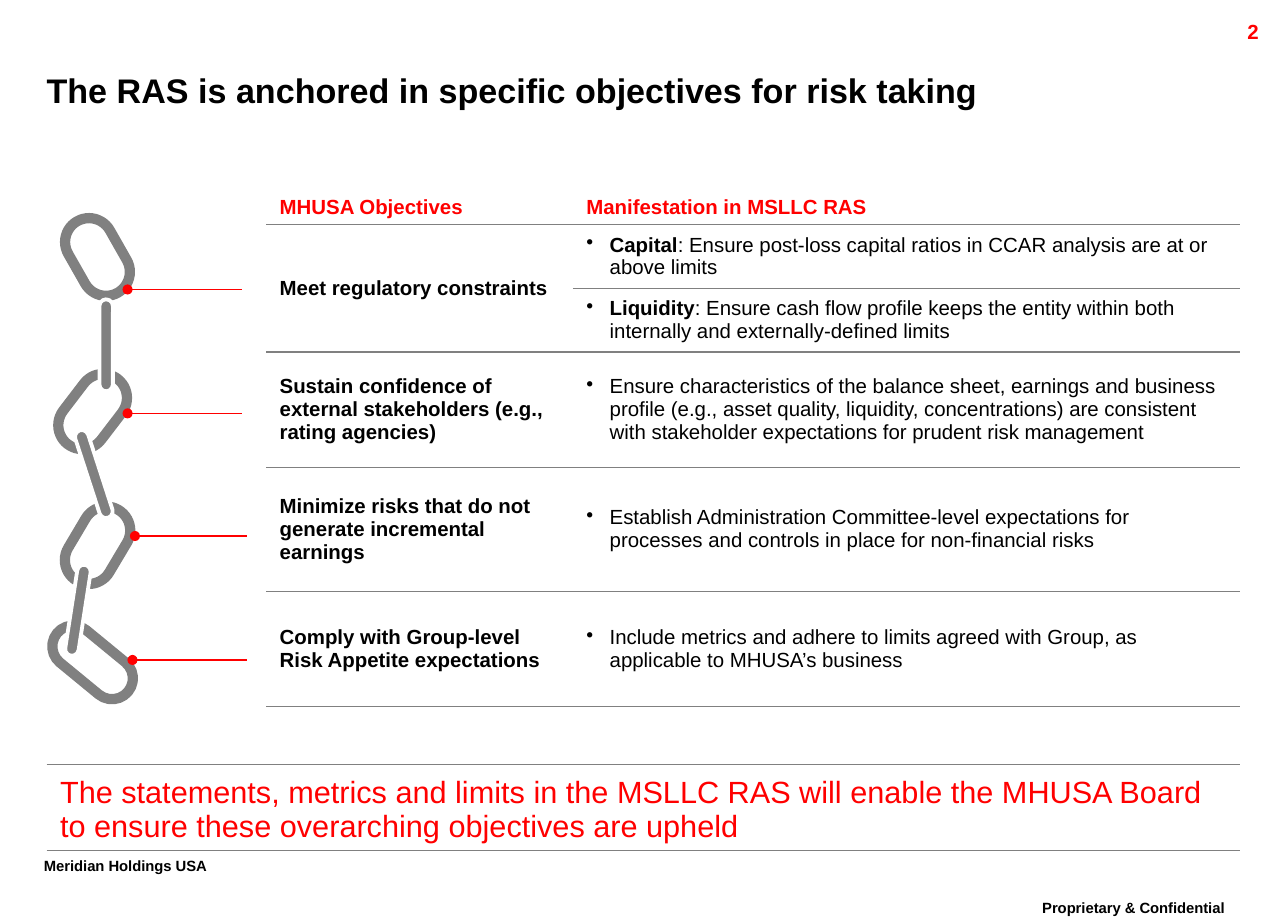
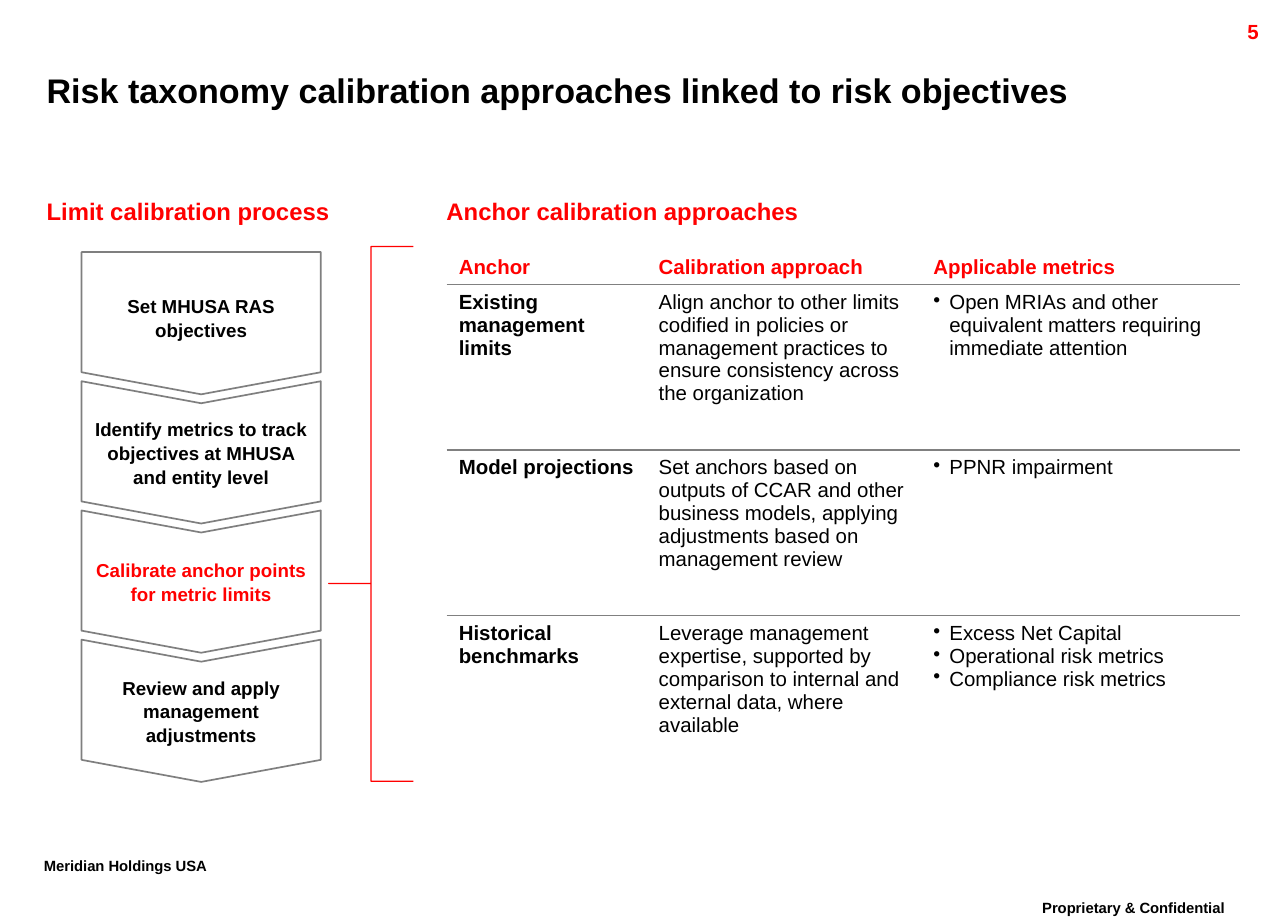
from lxml import etree
from pptx import Presentation
from pptx.dml.color import RGBColor
from pptx.enum.shapes import MSO_CONNECTOR, MSO_SHAPE
from pptx.enum.text import MSO_ANCHOR, PP_ALIGN
from pptx.oxml.ns import qn
from pptx.util import Inches, Pt

RED = RGBColor(0xFF, 0x00, 0x00)
BLACK = RGBColor(0x00, 0x00, 0x00)
WHITE = RGBColor(0xFF, 0xFF, 0xFF)
GRAY = RGBColor(0x80, 0x80, 0x80)
OUTLINE_GRAY = RGBColor(0x7F, 0x7F, 0x7F)

FONT = "Arial"
NO_TABLE_STYLE = "{2D5ABB26-0587-4C30-8999-92F81FD0307C}"

LEFT, CENTER, RIGHT = PP_ALIGN.LEFT, PP_ALIGN.CENTER, PP_ALIGN.RIGHT
TOP, MIDDLE, BOTTOM = MSO_ANCHOR.TOP, MSO_ANCHOR.MIDDLE, MSO_ANCHOR.BOTTOM
ROUNDED = MSO_SHAPE.ROUNDED_RECTANGLE
PENTAGON, CHEVRON = MSO_SHAPE.PENTAGON, MSO_SHAPE.CHEVRON
LEFT_BRACE = MSO_SHAPE.LEFT_BRACE
STRAIGHT = MSO_CONNECTOR.STRAIGHT


def add_run(paragraph, text, size, color=BLACK, bold=False):
    run = paragraph.add_run()
    run.text = text
    run.font.name = FONT
    run.font.size = Pt(size)
    run.font.bold = bold
    run.font.color.rgb = color
    return run


def add_bullet(paragraph, indent):
    properties = paragraph._p.get_or_add_pPr()
    properties.set("marL", str(Inches(indent)))
    properties.set("indent", str(-Inches(indent)))
    etree.SubElement(properties, qn("a:buChar")).set("char", "•")


def add_border(cell, side, width):
    """Draw one gray cell border; side is "T" or "B"."""
    border = etree.SubElement(cell._tc.get_or_add_tcPr(), qn("a:ln" + side))
    border.set("w", str(Pt(width)))
    fill = etree.SubElement(border, qn("a:solidFill"))
    etree.SubElement(fill, qn("a:srgbClr")).set("val", str(GRAY))


class Deck:
    def __init__(self):
        self.presentation = Presentation()
        self.presentation.slide_width = Inches(10.5)
        self.presentation.slide_height = Inches(7.5)
        self.slide = None

    def new_slide(self, title, number):
        layout = self.presentation.slide_layouts[6]
        self.slide = self.presentation.slides.add_slide(layout)
        self.footer("Proprietary & Confidential", 8.15, 7.25, 2.18, CENTER)
        self.footer("Meridian Holdings USA", 0.26, 6.91, 1.91, LEFT)
        self.text(number, 9.36, 0.11, 1, 0.24, 12, RED, align=RIGHT,
                  margins=(0.1, 0.05))
        self.text(title, 0.38, 0.49, 9.48, 0.48, 20, BLACK, anchor=MIDDLE)

    def text(self, text, left, top, width, height, size, color,
             align=LEFT, anchor=TOP, margins=(0, 0)):
        """Add one line of bold text and return its run."""
        box = self.slide.shapes.add_textbox(
            Inches(left), Inches(top), Inches(width), Inches(height))
        frame = box.text_frame
        frame.word_wrap = True
        frame.vertical_anchor = anchor
        frame.margin_left = frame.margin_right = Inches(margins[0])
        frame.margin_top = frame.margin_bottom = Inches(margins[1])
        paragraph = frame.paragraphs[0]
        paragraph.alignment = align
        return add_run(paragraph, text, size, color, bold=True)

    def footer(self, text, left, top, width, align):
        run = self.text(text, left, top, width, 0.35, 15, BLACK, align,
                        margins=(0.1, 0.05))
        run._r.get_or_add_rPr().set("baseline", "30000")

    def shape(self, kind, left, top, width, height, line, line_width,
              fill=None, rotation=0, adjustments=()):
        shape = self.slide.shapes.add_shape(
            kind, Inches(left), Inches(top), Inches(width), Inches(height))
        shape.shadow.inherit = False
        shape.rotation = rotation
        for index, value in enumerate(adjustments):
            shape.adjustments[index] = value
        if fill is None:
            shape.fill.background()
        else:
            shape.fill.solid()
            shape.fill.fore_color.rgb = fill
        shape.line.color.rgb = line
        shape.line.width = Pt(line_width)
        return shape

    def step(self, kind, text, top, color):
        """Add a process step that points down, with upright text."""
        shape = self.shape(kind, 1.06, top, 1.16, 1.95, OUTLINE_GRAY, 1,
                           WHITE, 90, (0.155,))
        frame = shape.text_frame
        frame.word_wrap = True
        frame.vertical_anchor = MIDDLE
        frame.margin_left = frame.margin_right = Inches(0.08)
        frame.margin_top = frame.margin_bottom = Inches(0.08)
        frame._txBody.bodyPr.set("vert", "vert270")
        paragraph = frame.paragraphs[0]
        paragraph.alignment = CENTER
        paragraph.line_spacing = 1.06
        add_run(paragraph, text, 11, color, bold=True)

    def pointer(self, start, end, y):
        """Add a red horizontal line with a dot at its end."""
        connector = self.slide.shapes.add_connector(
            STRAIGHT, Inches(start), Inches(y), Inches(end), Inches(y))
        connector.line.color.rgb = RED
        connector.line.width = Pt(0.75)
        line = connector.line._get_or_add_ln()
        etree.SubElement(line, qn("a:tailEnd")).set("type", "oval")
        etree.SubElement(connector._element.spPr, qn("a:effectLst"))

    def empty_table(self, left, top, widths, heights, margin, border_width,
                    ruled_rows):
        """Add a plain table with a line below each of the ruled rows."""
        frame = self.slide.shapes.add_table(
            len(heights), len(widths), Inches(left), Inches(top),
            Inches(sum(widths)), Inches(sum(heights)))
        table = frame.table
        table.first_row = table.horz_banding = False
        style = table._tbl.tblPr.find(qn("a:tableStyleId"))
        style.text = NO_TABLE_STYLE
        for column, width in zip(table.columns, widths):
            column.width = Inches(width)
        for index, (row, height) in enumerate(zip(table.rows, heights)):
            row.height = Inches(height)
            for cell in row.cells:
                cell.margin_left = cell.margin_right = Inches(margin)
                cell.margin_top = cell.margin_bottom = Inches(0.05)
                if index - 1 in ruled_rows:
                    add_border(cell, "T", border_width)
                if index in ruled_rows:
                    add_border(cell, "B", border_width)
                cell.fill.background()
        return table

    def fill_table(self, table, rows, anchor, bullet_column, indent):
        """Write a red header, a bold first column and plain other cells.

        A cell is a list of paragraphs; a pair is a bold lead and its rest.
        """
        for row_index, row in enumerate(rows):
            for column_index, content in enumerate(row):
                if not content:
                    continue
                header = row_index == 0
                cell = table.cell(row_index, column_index)
                cell.vertical_anchor = BOTTOM if header else anchor
                frame = cell.text_frame
                for index, item in enumerate(content):
                    paragraph = (frame.add_paragraph() if index
                                 else frame.paragraphs[0])
                    if column_index == bullet_column and not header:
                        add_bullet(paragraph, indent)
                    if isinstance(item, tuple):
                        lead, item = item
                        add_run(paragraph, lead, 12, bold=True)
                    add_run(paragraph, item, 12, RED if header else BLACK,
                            header or column_index == 0)


def objectives_slide(deck):
    deck.new_slide(
        "The RAS is anchored in specific objectives for risk taking", "2")

    links = [(0.46, 1.9, 0.67, 0.39, 60.4), (0.42, 3.16, 0.67, 0.39, 127.4),
             (0.46, 4.25, 0.67, 0.39, 120.7), (0.38, 5.23, 0.75, 0.34, 39.4)]
    for left, top, width, height, rotation in links:
        deck.shape(ROUNDED, left, top, width, height, GRAY, 6,
                   rotation=rotation, adjustments=(0.5,))
    bars = [(0.26, 4.92, 98.8), (0.39, 3.81, 72), (0.49, 2.76, 90)]
    for left, top, rotation in bars:
        deck.shape(ROUNDED, left, top, 0.75, 0.11, WHITE, 2.25, GRAY,
                   rotation, (0.5,))
    pointers = [(1.97, 1.04, 2.36), (1.97, 1.04, 3.37),
                (2.01, 1.1, 4.37), (2.01, 1.08, 5.38)]
    for start, end, y in pointers:
        deck.pointer(start, end, y)

    rows = [
        (["MHUSA Objectives"], ["Manifestation in MSLLC RAS"]),
        (["Meet regulatory constraints"],
         [("Capital", ": Ensure post-loss capital ratios in CCAR analysis "
           "are at or above limits")]),
        ([],
         [("Liquidity", ": Ensure cash flow profile keeps the entity within "
           "both internally and externally-defined limits")]),
        (["Sustain confidence of external stakeholders (e.g., rating "
          "agencies)"],
         ["Ensure characteristics of the balance sheet, earnings and "
          "business profile (e.g., asset quality, liquidity, "
          "concentrations) are consistent with stakeholder expectations "
          "for prudent risk management"]),
        (["Minimize risks that do not generate incremental earnings"],
         ["Establish Administration Committee-level expectations for "
          "processes and controls in place for non-financial risks"]),
        (["Comply with Group-level Risk Appetite expectations"],
         ["Include metrics and adhere to limits agreed with Group, as "
          "applicable to MHUSA’s business"]),
    ]
    table = deck.empty_table(2.17, 1.52, [2.5, 5.44],
                             [0.31, 0.52, 0.52, 0.94, 1.01, 0.94],
                             0.11, 0.75, range(6))
    table.cell(1, 0).merge(table.cell(2, 0))
    deck.fill_table(table, rows, MIDDLE, bullet_column=1, indent=0.19)

    banner = deck.empty_table(0.38, 6.23, [9.73], [0.7], 0.11, 0.75, (-1, 0))
    cell = banner.cell(0, 0)
    cell.vertical_anchor = BOTTOM
    add_run(cell.text_frame.paragraphs[0],
            "The statements, metrics and limits in the MSLLC RAS will enable "
            "the MHUSA Board to ensure these overarching objectives are "
            "upheld", 18, RED)


def calibration_slide(deck):
    deck.new_slide(
        "Risk taxonomy calibration approaches linked to risk objectives", "5")
    deck.text("Limit calibration process", 0.38, 1.6, 2.98, 0.45, 14, RED)
    deck.text("Anchor calibration approaches", 3.64, 1.6, 6, 0.45, 14, RED)

    rows = [
        (["Anchor"], ["Calibration approach"], ["Applicable metrics"]),
        (["Existing management limits"],
         ["Align anchor to other limits codified in policies or management "
          "practices to ensure consistency across the organization"],
         ["Open MRIAs and other equivalent matters requiring immediate "
          "attention"]),
        (["Model projections"],
         ["Set anchors based on outputs of CCAR and other business models, "
          "applying adjustments based on management review"],
         ["PPNR impairment"]),
        (["Historical benchmarks"],
         ["Leverage management expertise, supported by comparison to "
          "internal and external data, where available"],
         ["Excess Net Capital", "Operational risk metrics",
          "Compliance risk metrics"]),
    ]
    table = deck.empty_table(3.64, 2.01, [1.63, 2.24, 2.6],
                             [0.31, 1.35, 1.35, 1.35], 0.1, 1, range(3))
    deck.fill_table(table, rows, TOP, bullet_column=2, indent=0.13)

    steps = [
        (PENTAGON, "Set MHUSA RAS objectives", BLACK),
        (CHEVRON, "Identify metrics to track objectives at MHUSA and entity "
         "level", BLACK),
        (CHEVRON, "Calibrate anchor points for metric limits", RED),
        (CHEVRON, "Review and apply management adjustments", BLACK),
    ]
    first_top, last_top = 1.66, 4.82
    pitch = (last_top - first_top) / (len(steps) - 1)
    for index, (kind, text, color) in enumerate(steps):
        deck.step(kind, text, first_top + index * pitch, color)
    deck.shape(LEFT_BRACE, 2.68, 2.01, 0.69, 4.36, RED, 0.75,
               adjustments=(0, 0.63))


def main():
    deck = Deck()
    objectives_slide(deck)
    calibration_slide(deck)
    deck.presentation.save("out.pptx")


if __name__ == "__main__":
    main()
